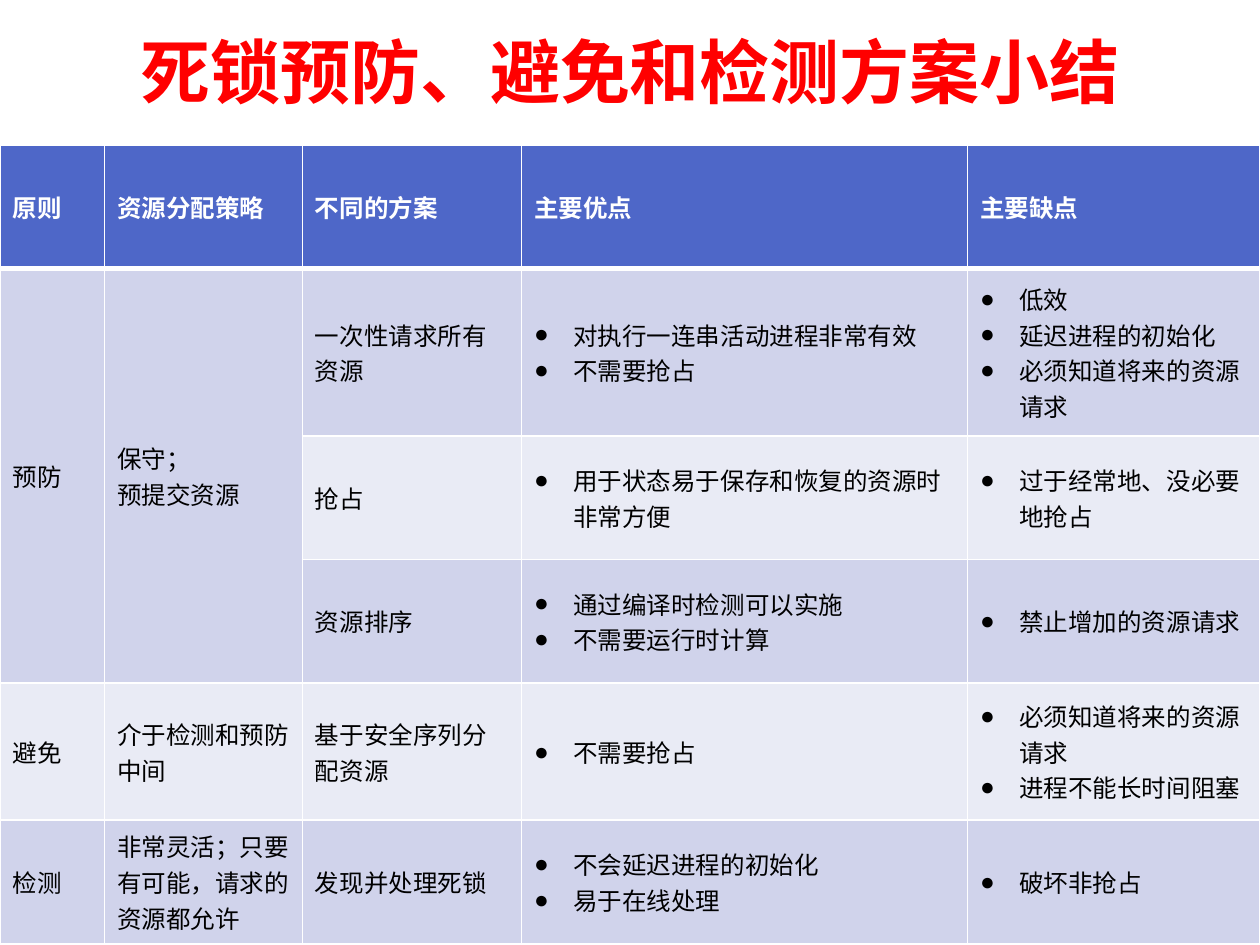
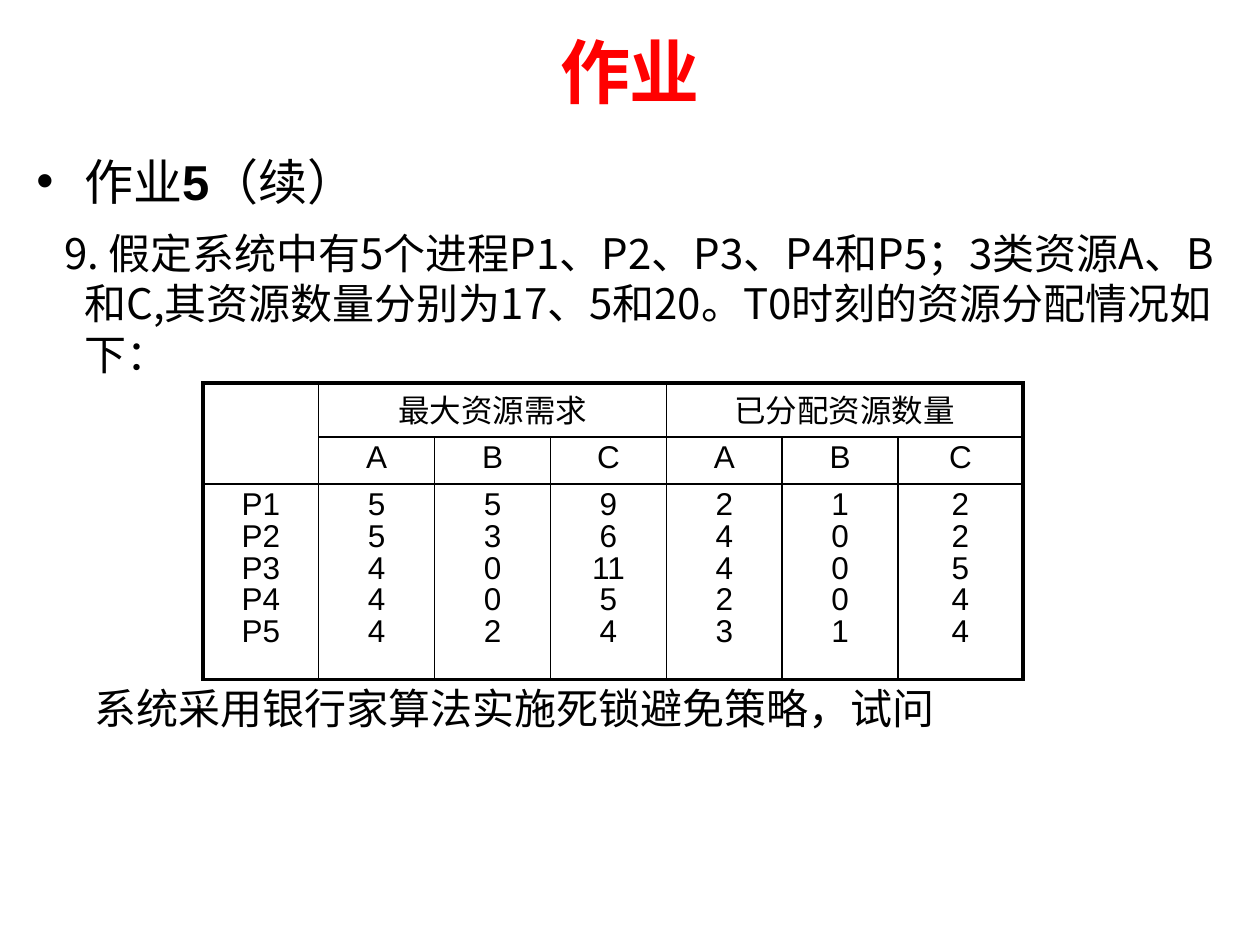
from lxml import etree
from pptx import Presentation
from pptx.dml.color import RGBColor
from pptx.enum.text import MSO_ANCHOR, PP_ALIGN
from pptx.oxml.ns import qn
from pptx.util import Inches, Pt

CENTER = PP_ALIGN.CENTER
LEFT = PP_ALIGN.LEFT
TOP = MSO_ANCHOR.TOP
MIDDLE = MSO_ANCHOR.MIDDLE
TITLE_ONLY = 5

RED, WHITE, BLACK = "FF0000", "FFFFFF", "000000"
HEADER_BLUE, BAND_DARK, BAND_LIGHT = "4E67C8", "D0D3EB", "E9EBF5"
CHINESE_FONT = "Noto Sans CJK SC"

TITLE_FORMAT = {"name": "Calibri", "size": Pt(40), "bold": True}
HEADER_FORMAT = {"name": "Arial", "size": Pt(14), "bold": True}
SUMMARY_FORMAT = {"name": "Arial", "size": Pt(14), "bold": False}
RESOURCE_FORMAT = {"name": "Arial", "size": Pt(18), "bold": False}
HEADING_FORMAT = {"name": "Arial", "size": Pt(28), "bold": False}
QUESTION_FORMAT = {"name": CHINESE_FONT, "size": Pt(24), "bold": False}

SUMMARY_TITLE = "死锁预防、避免和检测方案小结"
SUMMARY_ROWS = [
    ["原则", "资源分配策略", "不同的方案", "主要优点", "主要缺点"],
    ["预防", "保守；\n预提交资源", "一次性请求所有资源",
     "对执行一连串活动进程非常有效\n不需要抢占",
     "低效\n延迟进程的初始化\n必须知道将来的资源请求"],
    ["", "", "抢占", "用于状态易于保存和恢复的资源时非常方便",
     "过于经常地、没必要地抢占"],
    ["", "", "资源排序", "通过编译时检测可以实施\n不需要运行时计算",
     "禁止增加的资源请求"],
    ["避免", "介于检测和预防中间", "基于安全序列分配资源", "不需要抢占",
     "必须知道将来的资源请求\n进程不能长时间阻塞"],
    ["检测", "非常灵活；只要有可能，请求的资源都允许", "发现并处理死锁",
     "不会延迟进程的初始化\n易于在线处理", "破坏非抢占"],
]
SUMMARY_COLUMNS = [0.83, 1.57, 1.74, 3.54, 2.32]
SUMMARY_HEIGHTS = [0.98, 1.33, 0.98, 0.98, 1.09, 0.98]
SUMMARY_MERGES = [(1, 0, 3, 0), (1, 1, 3, 1)]
SUMMARY_FILLS = [HEADER_BLUE, BAND_DARK, BAND_LIGHT, BAND_DARK, BAND_LIGHT, BAND_DARK]
FIRST_BULLET_COLUMN = 3

HOMEWORK_TITLE = "作业"
HOMEWORK_HEADING = [("作业", False), ("5", True), ("（续）", False)]
HOMEWORK_QUESTION = (
    "9. 假定系统中有5个进程P1、P2、P3、P4和P5；3类资源A、B和C,"
    "其资源数量分别为17、5和20。T0时刻的资源分配情况如下："
)
HOMEWORK_CLOSING = "系统采用银行家算法实施死锁避免策略，试问"
RESOURCE_GROUPS = ["最大资源需求", "已分配资源数量"]
RESOURCE_NAMES = ["A", "B", "C"]
PROCESSES = {
    "P1": [5, 5, 9, 2, 1, 2],
    "P2": [5, 3, 6, 4, 0, 2],
    "P3": [4, 0, 11, 4, 0, 5],
    "P4": [4, 0, 5, 2, 0, 4],
    "P5": [4, 2, 4, 3, 1, 4],
}
RESOURCE_COLUMNS = [0.92] * 6 + [0.99]
RESOURCE_HEIGHTS = [0.43, 0.37, 1.55]
RESOURCE_MERGES = [(0, 0, 1, 0), (0, 1, 0, 3), (0, 4, 0, 6)]


def rgb(value):
    return RGBColor.from_string(value)


def format_run(run, font_format, color):
    for name, value in font_format.items():
        setattr(run.font, name, value)
    run.font.color.rgb = rgb(color)
    east_asian = etree.SubElement(run._r.get_or_add_rPr(), qn("a:ea"))
    east_asian.set("typeface", CHINESE_FONT)


def set_indent(paragraph, left, first_line, bullet=None):
    properties = paragraph._p.get_or_add_pPr()
    properties.set("marL", str(Inches(left)))
    properties.set("indent", str(Inches(first_line)))
    if bullet:
        etree.SubElement(properties, qn("a:buFont")).set("typeface", "Arial")
        etree.SubElement(properties, qn("a:buChar")).set("char", bullet)


def write_lines(text_frame, text, font_format, color, alignment=LEFT, spacing=None):
    for index, line in enumerate(text.split("\n")):
        paragraph = text_frame.paragraphs[0] if index == 0 else text_frame.add_paragraph()
        paragraph.alignment = alignment
        if spacing:
            paragraph.line_spacing = spacing
        run = paragraph.add_run()
        run.text = line
        format_run(run, font_format, color)


def add_titled_slide(presentation, title):
    slide = presentation.slides.add_slide(presentation.slide_layouts[TITLE_ONLY])
    shape = slide.shapes.title
    box = {"left": 0.5, "top": 0.05, "width": 9, "height": 1.02}
    for name, value in box.items():
        setattr(shape, name, Inches(value))
    shape.text_frame.vertical_anchor = MIDDLE
    write_lines(shape.text_frame, title, TITLE_FORMAT, RED, CENTER)
    return slide


def add_text_box(slide, left, top, width, height):
    text_frame = slide.shapes.add_textbox(*map(Inches, (left, top, width, height))).text_frame
    text_frame.word_wrap = True
    return text_frame


def add_grid(slide, left, top, columns, heights, merges):
    table = slide.shapes.add_table(
        len(heights), len(columns), Inches(left), Inches(top),
        Inches(sum(columns)), Inches(sum(heights)),
    ).table
    table.first_row = table.horz_banding = False
    for column, width in zip(table.columns, columns):
        column.width = Inches(width)
    for row, height in zip(table.rows, heights):
        row.height = Inches(height)
    for first_row, first_column, last_row, last_column in merges:
        table.cell(first_row, first_column).merge(table.cell(last_row, last_column))
    return table


def set_borders(cell, color, widths):
    properties = cell._tc.get_or_add_tcPr()
    for side in "LRTB":
        line = etree.SubElement(properties, qn(f"a:ln{side}"), w=str(Pt(widths[side])))
        fill = etree.SubElement(line, qn("a:solidFill"))
        etree.SubElement(fill, qn("a:srgbClr"), val=color)


def build_summary(presentation):
    slide = add_titled_slide(presentation, SUMMARY_TITLE)
    table = add_grid(slide, 0, 1.15, SUMMARY_COLUMNS, SUMMARY_HEIGHTS, SUMMARY_MERGES)
    for row, texts in enumerate(SUMMARY_ROWS):
        is_header = row == 0
        for column, text in enumerate(texts):
            cell = table.cell(row, column)
            set_borders(cell, WHITE, {
                "L": 1, "R": 1, "T": 3 if row == 1 else 1, "B": 3 if is_header else 1,
            })
            cell.fill.solid()
            cell.fill.fore_color.rgb = rgb(SUMMARY_FILLS[row])
            cell.vertical_anchor = MIDDLE
            if cell.is_spanned:
                continue
            font_format = HEADER_FORMAT if is_header else SUMMARY_FORMAT
            write_lines(cell.text_frame, text, font_format, WHITE if is_header else BLACK)
            if column >= FIRST_BULLET_COLUMN and not is_header:
                for paragraph in cell.text_frame.paragraphs:
                    set_indent(paragraph, 0.31, -0.31, "●")


def resource_rows():
    value_columns = ["\n".join(map(str, values)) for values in zip(*PROCESSES.values())]
    group_row = [""]
    for group in RESOURCE_GROUPS:
        group_row += [group, "", ""]
    return [
        group_row,
        [""] + RESOURCE_NAMES * len(RESOURCE_GROUPS),
        ["\n".join(PROCESSES)] + value_columns,
    ]


def build_resource_table(slide):
    table = add_grid(slide, 1.61, 3.04, RESOURCE_COLUMNS, RESOURCE_HEIGHTS, RESOURCE_MERGES)
    for row, texts in enumerate(resource_rows()):
        for column, text in enumerate(texts):
            cell = table.cell(row, column)
            on_outline = {
                "L": column == 0,
                "R": column + cell.span_width == len(RESOURCE_COLUMNS),
                "T": row == 0,
                "B": row + cell.span_height == len(RESOURCE_HEIGHTS),
            }
            set_borders(cell, BLACK, {
                side: 2.25 if outer else 1 for side, outer in on_outline.items()
            })
            cell.fill.background()
            cell.vertical_anchor = TOP
            if text:
                write_lines(cell.text_frame, text, RESOURCE_FORMAT, BLACK, CENTER, 0.9)
            else:
                cell.text_frame.paragraphs[0].font.size = Pt(12)


def build_homework(presentation):
    slide = add_titled_slide(presentation, HOMEWORK_TITLE)
    text_frame = add_text_box(slide, 0.19, 1.15, 9.61, 1.88)
    heading = text_frame.paragraphs[0]
    set_indent(heading, 0.38, -0.38, "•")
    for text, bold in HOMEWORK_HEADING:
        run = heading.add_run()
        run.text = text
        format_run(run, {**HEADING_FORMAT, "bold": bold}, BLACK)
    question = text_frame.add_paragraph()
    question.space_before = Pt(10)
    set_indent(question, 0.38, -0.16)
    run = question.add_run()
    run.text = HOMEWORK_QUESTION
    format_run(run, QUESTION_FORMAT, BLACK)

    build_resource_table(slide)
    closing = add_text_box(slide, 0.65, 5.37, 9.15, 0.5)
    write_lines(closing, HOMEWORK_CLOSING, QUESTION_FORMAT, BLACK)


def main():
    presentation = Presentation()
    presentation.slide_width = Inches(10)
    presentation.slide_height = Inches(7.5)
    build_summary(presentation)
    build_homework(presentation)
    presentation.save("out.pptx")


if __name__ == "__main__":
    main()
